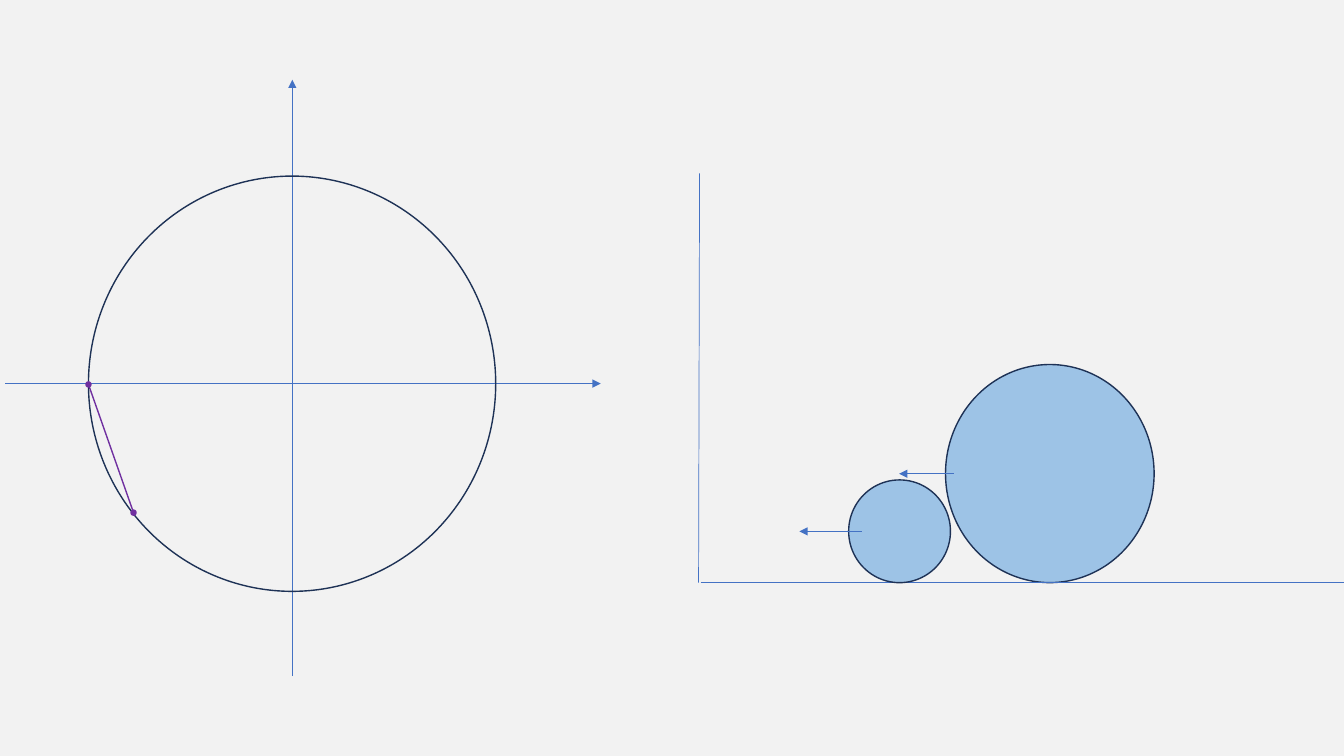
import lxml.etree
import pptx
import pptx.util
import pptx.dml.color
import pptx.enum.shapes
import pptx.oxml.ns

Pt = pptx.util.Pt
RGB = pptx.dml.color.RGBColor
PAPER = RGB(0xF2, 0xF2, 0xF2)
BLUE = RGB(0x44, 0x72, 0xC4)
SKY = RGB(0x9D, 0xC3, 0xE6)
NAVY = RGB(0x1E, 0x32, 0x56)
PURPLE = RGB(0x70, 0x30, 0xA0)

deck = pptx.Presentation()
deck.slide_width, deck.slide_height = Pt(960), Pt(540)
slide = deck.slides.add_slide(deck.slide_layouts[6])
slide.background.fill.solid()
slide.background.fill.fore_color.rgb = PAPER


def draw_line(start, end, color=BLUE, width=0.5, arrow=False):
    qn = pptx.oxml.ns.qn
    line = slide.shapes.add_connector(
        pptx.enum.shapes.MSO_CONNECTOR.STRAIGHT,
        *[Pt(value) for value in (*start, *end)])
    line.line.color.rgb = color
    line.line.width = Pt(width)
    props = line.element.find(qn("p:spPr"))
    if arrow:
        stroke = props.find(qn("a:ln"))
        lxml.etree.SubElement(stroke, qn("a:tailEnd"), type="triangle")
    lxml.etree.SubElement(props, qn("a:effectLst"))


def draw_oval(left, top, width, height, fill=None, edge=NAVY):
    oval = slide.shapes.add_shape(
        pptx.enum.shapes.MSO_SHAPE.OVAL,
        Pt(left), Pt(top), Pt(width), Pt(height))
    oval.shadow.inherit = False
    if fill is None:
        oval.fill.background()
    else:
        oval.fill.solid()
        oval.fill.fore_color.rgb = fill
    oval.line.color.rgb = edge
    oval.line.width = Pt(1)


# Two balls rolling towards a wall
FLOOR = 416.2
draw_line((499, FLOOR), (499.7, 123.8))
draw_oval(675.4, 260.4, 149, 155.8, SKY)
draw_line((500.4, FLOOR), (960, FLOOR))
draw_oval(606.2, 342.8, 72.7, 73.4, SKY)
draw_line((681.1, 338.4), (642.2, 338.4), arrow=True)
draw_line((615.6, 379.6), (571, 379.6), arrow=True)

# Circle on its axes, with a chord between two points
CHORD = [(63.2, 274.6), (95.4, 366.2)]
DOT = 3.6
draw_line(*CHORD, color=PURPLE, width=1)
draw_line((208.8, 483), (208.8, 56.9), arrow=True)
draw_line((3.6, 274), (429.1, 274), arrow=True)
draw_oval(63.2, 125.8, 290.9, 296.6)
for x, y in CHORD:
    draw_oval(x - DOT / 2, y - DOT / 2, DOT, DOT, PURPLE, PURPLE)

deck.save("out.pptx")
